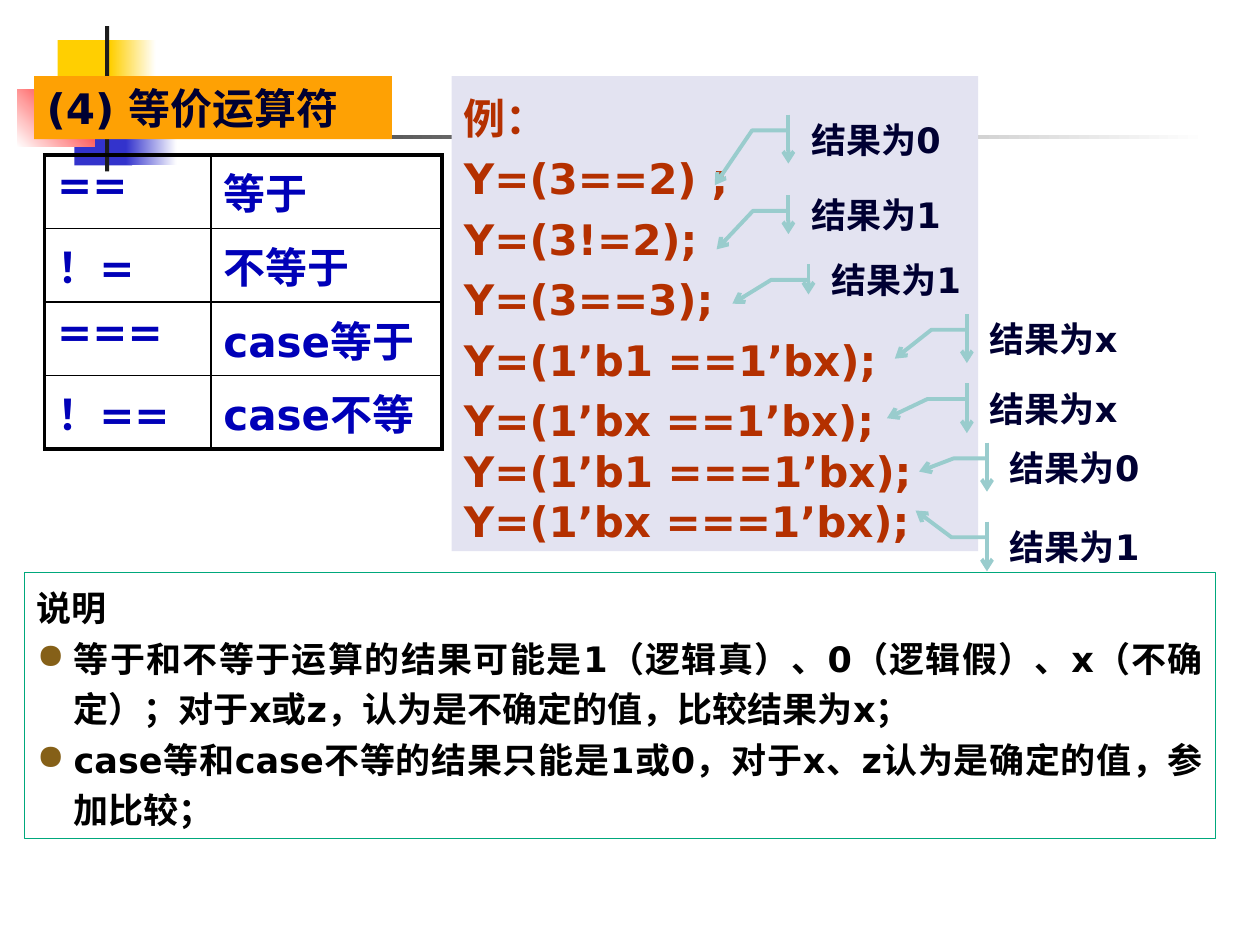
"""Builds the slide on Verilog equality operators."""
from lxml.etree import SubElement
from pptx import Presentation
from pptx.dml.color import RGBColor
from pptx.enum.shapes import MSO_SHAPE
from pptx.enum.text import MSO_ANCHOR, MSO_AUTO_SIZE, PP_ALIGN
from pptx.oxml import parse_xml
from pptx.oxml.ns import nsdecls, qn
from pptx.util import Pt

NAVY = "000032"
color = RGBColor.from_string


def block(kind, left, top, width, height, fill=None, line=None, weight=1):
    """Adds a shape with a plain fill, or none, and an optional outline."""
    shape = shapes.add_shape(kind, Pt(left), Pt(top), Pt(width), Pt(height))
    shape.shadow.inherit = False
    if fill:
        shape.fill.solid()
        shape.fill.fore_color.rgb = color(fill)
    else:
        shape.fill.background()
    if line:
        shape.line.color.rgb = color(line)
        shape.line.width = Pt(weight)
    else:
        shape.line.fill.background()
    return shape


def write(frame, lines, size, ink, anchor=MSO_ANCHOR.TOP, align=PP_ALIGN.LEFT):
    """Sets the lines as bold paragraphs."""
    frame.text = "\n".join(lines)
    frame.word_wrap = True
    frame.auto_size = MSO_AUTO_SIZE.NONE
    frame.vertical_anchor = anchor
    for para in frame.paragraphs:
        para.alignment = align
        for run in para.runs:
            run.font.name = "DejaVu Sans"
            run.font.size = Pt(size)
            run.font.bold = True
            run.font.color.rgb = color(ink)


deck = Presentation()
deck.slide_width, deck.slide_height = Pt(720), Pt(540)
slide = deck.slides.add_slide(deck.slide_layouts[5])
shapes = slide.shapes

decor = [
    (33, 23, 35, 37.5, "FFCF01", None, 0),
    (63, 23, 26, 37.5, "FFCF01", "FFFFFF", 0),
    (42.5, 57, 33, 37.5, "3333CC", None, 0),
    (72, 57, 29, 37.5, "3333CC", "FFFFFF", 0),
    (10, 51, 44, 33, "FFFFFF", "FF0000", 45),
    (60, 15, 2.4, 83, "1C1C1C", None, 0),
    (42.5, 77, 648, 2.2, "1C1C1C", "FFFFFF", 0),
]
for left, top, width, height, start, end, angle in decor:
    shape = block(MSO_SHAPE.RECTANGLE, left, top, width, height, start)
    if end:
        shape.fill.gradient()
        shape.fill.gradient_angle = angle
        for stop, tone in zip(shape.fill.gradient_stops, (start, end)):
            stop.color.rgb = color(tone)

title = shapes.title
title.left, title.top, title.width, title.height = Pt(19.5), Pt(43.5), Pt(204.5), Pt(36)
title.fill.solid()
title.fill.fore_color.rgb = color("FEA104")
write(title.text_frame, ["(4) 等价运算符"], 24, NAVY, MSO_ANCHOR.MIDDLE)
shapes._spTree.append(title._element)

names = [("==", "等于"), ("！=", "不等于"), ("===", "case等于"), ("！==", "case不等")]
table = shapes.add_table(4, 2, Pt(25.5), Pt(88.5), Pt(227), Pt(144)).table
table.first_row = table.horz_banding = False
table.columns[0].width, table.columns[1].width = Pt(95), Pt(132)
for row, pair in enumerate(names):
    table.rows[row].height = Pt(36)
    for col, name in enumerate(pair):
        cell = table.cell(row, col)
        write(cell.text_frame, [name], 24, "0000B8")
        cell.fill.background()
        props = cell._tc.get_or_add_tcPr()
        outer = {"L": col == 0, "R": col == 1, "T": row == 0, "B": row == 3}
        for spot, (side, thick) in enumerate(outer.items()):
            width = Pt(2.25 if thick else 1)
            props.insert(spot, parse_xml(
                f'<a:ln{side} {nsdecls("a")} w="{width}"><a:solidFill>'
                f'<a:srgbClr val="000000"/></a:solidFill></a:ln{side}>'))

code = ["例：", "Y=(3==2) ;", "Y=(3!=2);", "Y=(3==3);", "Y=(1’b1 ==1’bx);",
        "Y=(1’bx ==1’bx);", "Y=(1’b1 ===1’bx);", "Y=(1’bx ===1’bx);"]
panel = block(MSO_SHAPE.RECTANGLE, 258, 43.5, 301, 271.5, "E3E3F1")
write(panel.text_frame, code, 24, "B43000")
for para in panel.text_frame.paragraphs[:6]:
    para.line_spacing = 1.2

notes = [
    "说明",
    "等于和不等于运算的结果可能是1（逻辑真）、0（逻辑假）、x（不确定）；对于x或z，认为是不确定的值，比较结果为x；",
    "case等和case不等的结果只能是1或0，对于x、z认为是确定的值，参加比较；",
]
box = block(MSO_SHAPE.RECTANGLE, 14, 327, 680.5, 152, line="00A87C", weight=0.75)
write(box.text_frame, notes, 20, "000000", align=PP_ALIGN.JUSTIFY)
for spot, para in enumerate(box.text_frame.paragraphs):
    para.line_spacing = 1.2
    props = para._p.get_or_add_pPr()
    props.set("marL", str(Pt(21)))
    props.set("indent", str(Pt(-21)))
    if spot:
        tint = SubElement(props, qn("a:buClr"))
        SubElement(tint, qn("a:srgbClr")).set("val", "856018")
        SubElement(props, qn("a:buChar")).set("char", "●")

results = [
    ("0", 456.5, 65.5, 108, 28, -26.7, -48, 40.3),
    ("1", 456.5, 111.5, 193, 22.3, -26.2, -47, 31),
    ("1", 468, 151, 102, 17.3, -27.4, -49.5, 22.6),
    ("x", 558.5, 179.5, 102, 28, -26.3, -47.2, 25.5),
    ("x", 558.5, 219, 102, 28.5, -28.5, -51.7, 20),
    ("0", 570, 253, 102, 28, -25.1, -44.8, 16.5),
    ("1", 570, 298, 102, 28.5, -26.3, -46.8, -6.3),
]
for value, left, top, width, height, bend, tipx, tipy in results:
    note = block(MSO_SHAPE.LINE_CALLOUT_2_ACCENT_BAR, left, top, width, height,
                 line="99CCCD", weight=2.25)
    points = [(-6, 9), (bend, 9), (tipx, tipy)]
    for spot, (x, y) in enumerate(points):
        note.adjustments[2 * spot] = y / height
        note.adjustments[2 * spot + 1] = x / width
    SubElement(note.line._get_or_add_ln(), qn("a:tailEnd")).set("type", "arrow")
    write(note.text_frame, ["结果为" + value], 20, NAVY, MSO_ANCHOR.MIDDLE)

deck.save("out.pptx")
